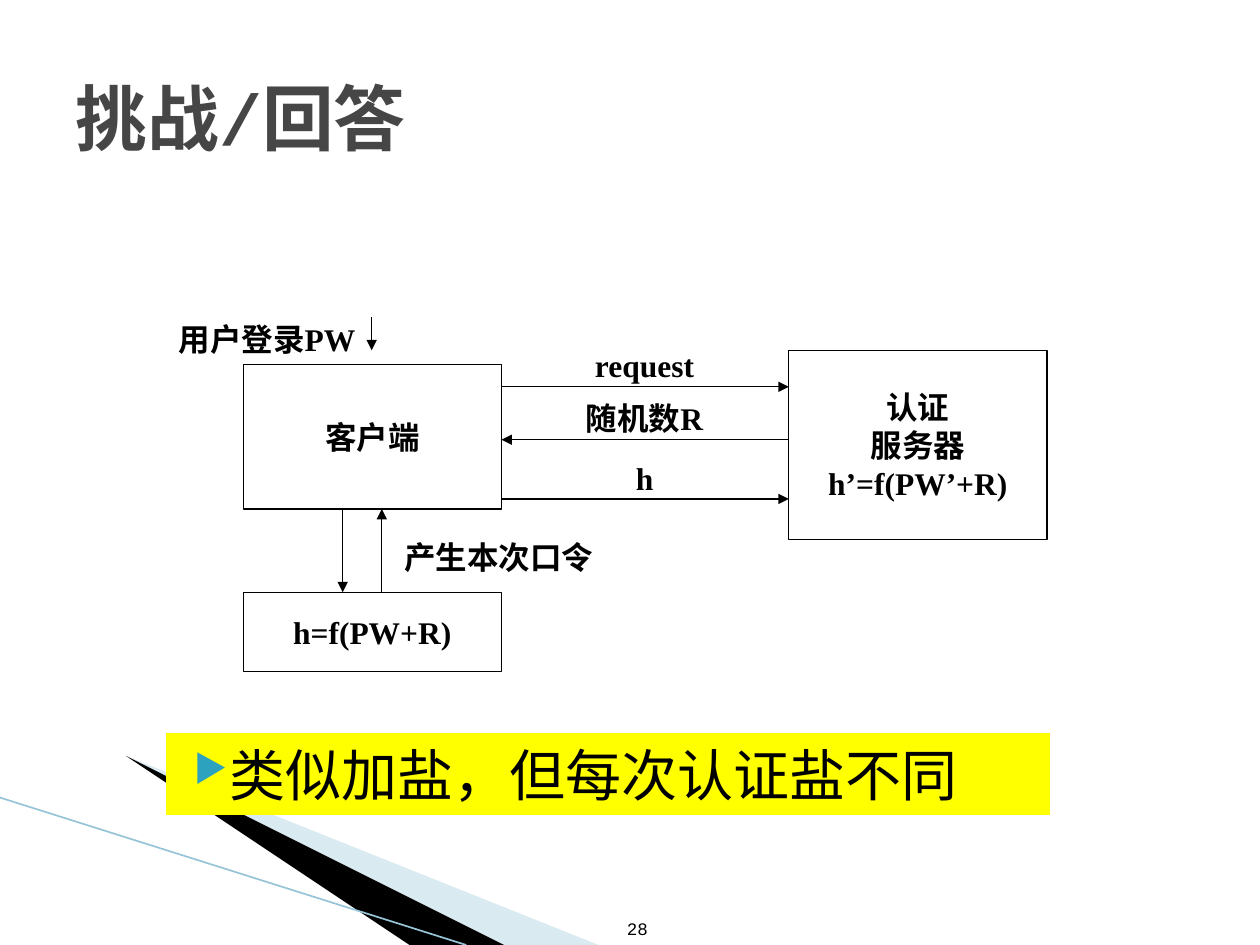
from lxml.etree import SubElement as Sub
from pptx import Presentation
from pptx.dml.color import RGBColor
from pptx.enum.shapes import MSO_CONNECTOR as Link, MSO_SHAPE as Kind
from pptx.enum.text import MSO_ANCHOR as Anchor, PP_ALIGN as Align
from pptx.oxml.ns import qn
from pptx.util import Inches, Pt

BODY = {"size": Pt(18), "name": "Times New Roman", "bold": True}
HEAD = {"size": Pt(41), "name": "Courier New", "bold": True}
PAGE = {"size": Pt(10), "name": "Courier New"}
NOTE = {"size": Pt(32), "name": "Noto Sans CJK SC"}


def tint(part, color):
    """Give a fill a solid colour, or set a line or font colour."""
    if hasattr(part, "solid"):
        part.solid()
        part = part.fore_color
    else:
        part = part.color
    part.rgb = RGBColor.from_string(color)


def write(shape, text, style, align=Align.CENTER, anchor=Anchor.MIDDLE,
          wrap=True, color="000000"):
    """Fill a shape with styled paragraphs, one per line of text."""
    frame = shape.text_frame
    frame.word_wrap, frame.vertical_anchor = wrap, anchor
    frame.text = text
    for para in frame.paragraphs:
        para.alignment = align
        font = para.runs[0].font
        for key, value in style.items():
            setattr(font, key, value)
        tint(font, color)


def label(slide, box, text, style=BODY, **opts):
    """Add a text box."""
    shape = slide.shapes.add_textbox(*map(Inches, box))
    write(shape, text, style, **opts)


def block(slide, box, text, style=BODY, fill="FFFFFF", line="000000", **opts):
    """Add a filled, outlined rectangle holding text."""
    shape = slide.shapes.add_shape(Kind.RECTANGLE, *map(Inches, box))
    shape.shadow.inherit = False
    tint(shape.fill, fill)
    tint(shape.line, line)
    shape.line.width = Pt(0.75)
    write(shape, text, style, **opts)
    return shape


def stroke(slide, start, end, color="000000", width=0.75, head=True):
    """Draw a straight line, with an arrowhead at its end if asked."""
    line = slide.shapes.add_connector(Link.STRAIGHT, *map(Inches, start + end))
    tint(line.line, color)
    line.line.width = Pt(width)
    if head:
        Sub(line.line._get_or_add_ln(), qn("a:tailEnd"), type="triangle")
    Sub(line._element.spPr, qn("a:effectLst"))


def wedge(slide, points, color, alpha=None):
    """Draw a closed outline without a border."""
    pen = slide.shapes.build_freeform(*points[0], scale=Inches(1))
    pen.add_line_segments(points[1:])
    shape = pen.convert_to_shape()
    shape.shadow.inherit = False
    tint(shape.fill, color)
    shape.line.fill.background()
    if alpha:
        clr = shape._element.spPr.find(".//" + qn("a:srgbClr"))
        Sub(clr, qn("a:alpha"), val=str(alpha * 1000))


def corner(slide, box):
    """Draw the swoosh at the lower left."""
    left, top, width, height = box
    base, tip = top + height, (left + 0.55, top + 0.17)
    wedge(slide, [tip, (left + width, base), (left + 4.56, base)], "A0CBDC", 40)
    wedge(slide, [tip, (left + 4.57, base), (left + 3.7, base)], "000000")
    stroke(slide, (left, top), (left + 3.7, base), "97C5D8", 0.95, False)


def flow(slide, box):
    """Draw the challenge and response exchange."""
    left, top, width, height = box
    wide = 2.05
    edge, far = left + wide, left + width - wide
    low, foot = top + 1.52, top + height - 0.63
    block(slide, (left, top + 0.37, wide, 1.15), "客户端", wrap=False)
    block(slide, (far, top + 0.26, wide, 1.5),
          "认证\n服务器\nh’=f(PW’+R)", wrap=False)
    block(slide, (left, foot, wide, 0.63), "h=f(PW+R)", wrap=False)
    for text, drop, back in (("request", 0.55, False), ("随机数R", 0.97, True),
                             ("h", 1.44, False)):
        ends = [(edge, top + drop), (far, top + drop)]
        stroke(slide, *(ends[::-1] if back else ends))
        label(slide, (edge + 0.31, top + drop - 0.37, 1.65, 0.4), text,
              anchor=Anchor.TOP)
    stroke(slide, (left + 0.79, low), (left + 0.79, foot))
    stroke(slide, (left + 1.1, foot), (left + 1.1, low))
    label(slide, (left + 1.18, low + 0.18, 1.81, 0.4), "产生本次口令",
          align=Align.LEFT, anchor=Anchor.TOP)
    stroke(slide, (left + 1.02, top), (left + 1.02, top + 0.26))
    label(slide, (left - 0.63, top - 0.03, 1.64, 0.4), "用户登录PW",
          anchor=Anchor.TOP)


def remark(slide, box):
    """Add the highlighted bullet."""
    shape = block(slide, box, "类似加盐，但每次认证盐不同", NOTE, "FFFF00",
                  "FFFF00", align=Align.JUSTIFY)
    para = shape.text_frame.paragraphs[0]
    para.space_before = Pt(4)
    props = para._p.get_or_add_pPr()
    props.set("marL", str(Inches(0.4)))
    props.set("indent", str(Inches(-0.28)))
    Sub(Sub(props, qn("a:buClr")), qn("a:srgbClr"), val="2DA2BF")
    Sub(props, qn("a:buSzPct"), val="68000")
    Sub(props, qn("a:buChar"), char="▶")


def main():
    """Build and save the slide."""
    deck = Presentation()
    deck.slide_width, deck.slide_height = Inches(10), Inches(7.5)
    slide = deck.slides.add_slide(deck.slide_layouts[6])
    corner(slide, (0, 6.33, 5.95, 1.17))
    label(slide, (4.68, 7.01, 0.56, 0.49), "28", PAGE, align=Align.RIGHT,
          anchor=Anchor.BOTTOM)
    label(slide, (0.5, 0.3, 9, 1.25), "挑战/回答", HEAD, align=Align.LEFT,
          color="464646")
    flow(slide, (1.93, 2.52, 6.38, 2.81))
    remark(slide, (1.32, 5.82, 7.01, 0.64))
    deck.save("out.pptx")


if __name__ == "__main__":
    main()
